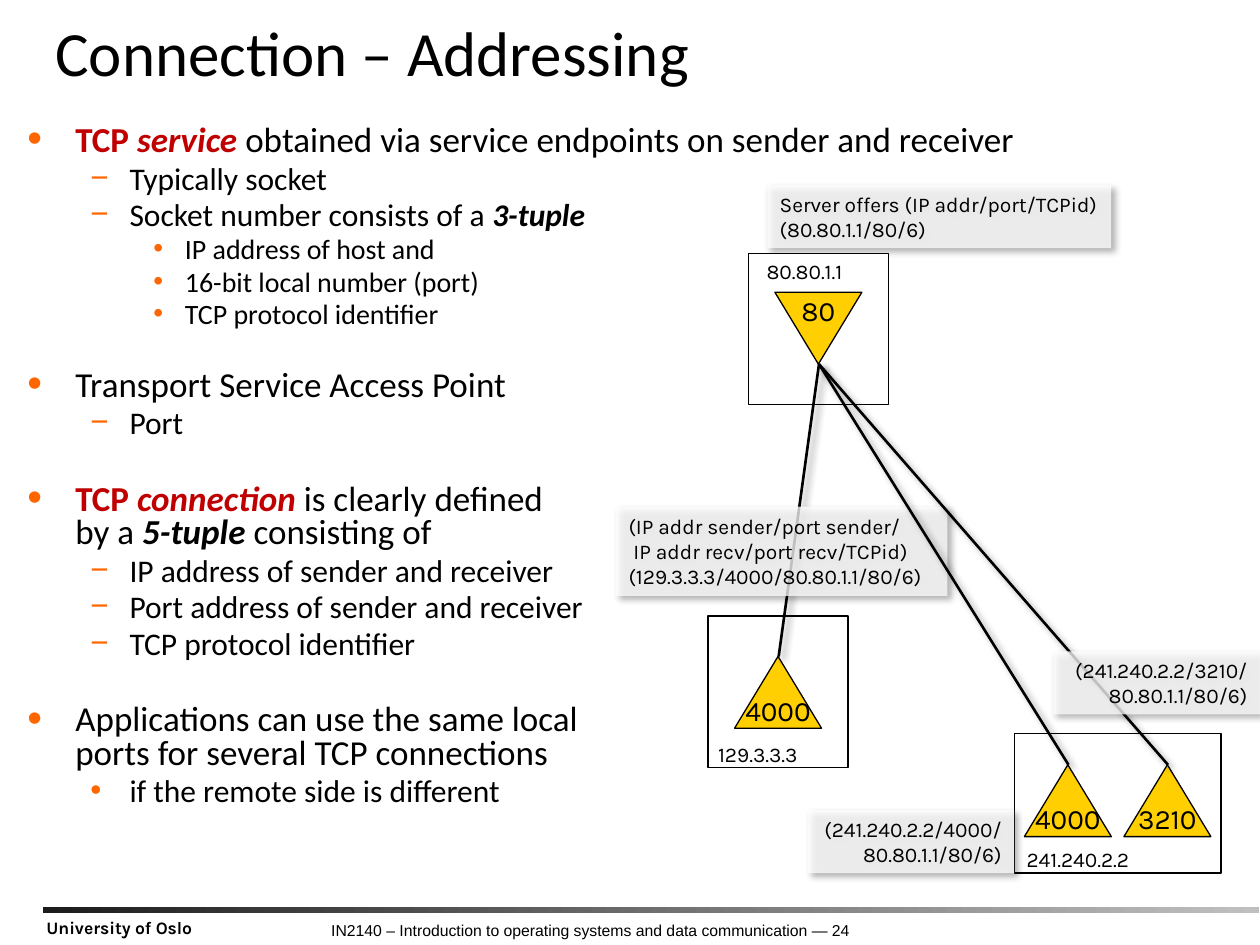
from lxml import etree
from pptx import Presentation
from pptx import util as u
from pptx.dml import color
from pptx.enum import shapes, text
from pptx.oxml import ns

COLUMNS, ROWS = 100, 75
CELL = u.Inches(0.1)
BLACK, WHITE, RED, ORANGE, YELLOW = "000000", "FFFFFF", "C00000", "FF6600", "FFCF01"
SHAPE = shapes.MSO_SHAPE
LEFT, CENTER, RIGHT = text.PP_ALIGN.LEFT, text.PP_ALIGN.CENTER, text.PP_ALIGN.RIGHT
TOP, MIDDLE, BOTTOM = (text.MSO_ANCHOR.TOP, text.MSO_ANCHOR.MIDDLE,
                       text.MSO_ANCHOR.BOTTOM)

KEY = {"bold": True, "color": RED}
KEY_TERM = {"bold": True, "italic": True, "color": RED}
TERM = {"bold": True, "italic": True}

LEVELS = [
    {"size": 20, "margin": 0.38, "hanging": 0.38, "mark": "•", "mark_size": 120},
    {"size": 18, "margin": 0.81, "hanging": 0.31, "mark": "−", "mark_size": 100},
    {"size": 16, "margin": 1.25, "hanging": 0.25, "mark": "•", "mark_size": 100},
]

OUTLINE = [
    (0, [("TCP ", KEY), ("service ", KEY_TERM),
         ("obtained via service endpoints on sender and receiver", {})], {}),
    (1, [("Typically socket", {})], {}),
    (1, [("Socket number consists of a ", {}), ("3-tuple", TERM)], {}),
    (2, [("IP address of host and", {})], {}),
    (2, [("16-bit local number (port)", {})], {}),
    (2, [("TCP protocol identifier", {})], {}),
    (0, [("Transport Service Access Point", {})], {"before": 23}),
    (1, [("Port", {})], {}),
    (0, [("TCP ", KEY), ("connection ", KEY_TERM),
         ("is clearly defined\nby a ", {}), ("5-tuple", TERM),
         (" consisting of", {})], {"before": 25}),
    (1, [("IP address of sender and receiver", {})], {}),
    (1, [("Port address of sender and receiver", {})], {}),
    (1, [("TCP protocol identifier", {})], {}),
    (0, [("Applications can use the same local\n"
          "ports for several TCP connections", {})], {"before": 25}),
    (1, [("if the remote side is different", {})], {"mark": "•"}),
]


def rgb(value):
    return color.RGBColor.from_string(value)


def grid(*cells):
    return [u.Emu(round(cell * CELL)) for cell in cells]


def apply(target, values):
    for name, value in values.items():
        setattr(target, name, value)


def add_node(parent, tag, **attributes):
    return etree.SubElement(parent, ns.qn(tag), attributes)


def add_shadow(shape):
    effects = add_node(shape._element.spPr, "a:effectLst")
    shadow = add_node(effects, "a:outerShdw", blurRad=str(u.Pt(4)),
                      dist=str(u.Pt(3)), dir="2700000", algn="tl", rotWithShape="0")
    tint = add_node(shadow, "a:srgbClr", val=BLACK)
    add_node(tint, "a:alpha", val="40000")


def add_span(para, words, size, font, style=None):
    style = dict(style or {})
    shade = style.pop("color", BLACK)
    for index, line in enumerate(words.split("\n")):
        if index:
            para.add_line_break()
        span = para.add_run()
        span.text = line
        apply(span.font, {"name": font, "size": u.Pt(size), **style})
        span.font.color.rgb = rgb(shade)


def set_frame(box, anchor=TOP, wrap=False, margins=(0.1, 0.05, 0.1, 0.05)):
    frame = box.text_frame
    left, top, right, bottom = map(u.Inches, margins)
    apply(frame, {"word_wrap": wrap, "vertical_anchor": anchor,
                  "margin_left": left, "margin_top": top,
                  "margin_right": right, "margin_bottom": bottom})
    return frame


def write(box, lines, size, font="Karla", align=LEFT, spacing=None, style=None, **layout):
    frame = set_frame(box, **layout)
    for index, line in enumerate(lines):
        para = frame.add_paragraph() if index else frame.paragraphs[0]
        apply(para, {"alignment": align, "line_spacing": spacing})
        add_span(para, line, size, font, style)


def add_text(page, cells, lines, size, **options):
    write(page.shapes.add_textbox(*grid(*cells)), lines, size, **options)


def add_block(page, kind, cells, fill, outlined=True):
    shape = page.shapes.add_shape(kind, *grid(*cells))
    shape.fill.solid()
    shape.fill.fore_color.rgb = rgb(fill)
    if outlined:
        shape.shadow.inherit = False
        shape.line.color.rgb = rgb(BLACK)
        shape.line.width = u.Pt(0.75)
    else:
        shape.line.fill.background()
    return shape


def add_host(page, cells, address, address_cells):
    add_block(page, SHAPE.RECTANGLE, cells, WHITE)
    add_text(page, address_cells, [address], 12, align=CENTER, anchor=MIDDLE,
             margins=(0, 0, 0, 0))


def add_port(page, left, top, number, kind=SHAPE.ISOSCELES_TRIANGLE):
    port = add_block(page, kind, (left, top, 6.9, 5.7), YELLOW)
    write(port, [number], 16, align=CENTER, anchor=MIDDLE)


def add_link(page, start, end):
    link = page.shapes.add_connector(shapes.MSO_CONNECTOR.STRAIGHT, *grid(*start, *end))
    link.line.color.rgb = rgb(BLACK)
    link.line.width = u.Pt(1.5)
    add_shadow(link)


def add_label(page, cells, lines, align=LEFT):
    label = add_block(page, SHAPE.RECTANGLE, cells, WHITE, outlined=False)
    tint = label._element.spPr.find(".//" + ns.qn("a:srgbClr"))
    add_node(tint, "a:alpha", val="75000")
    add_shadow(label)
    write(label, lines, 12, align=align, anchor=MIDDLE)


def add_bullet(para, margin, hanging, mark, mark_size):
    properties = para._p.get_or_add_pPr()
    properties.set("marL", str(u.Inches(margin)))
    properties.set("indent", str(-u.Inches(hanging)))
    add_node(add_node(properties, "a:buClr"), "a:srgbClr", val=ORANGE)
    add_node(properties, "a:buSzPct", val=str(mark_size * 1000))
    add_node(properties, "a:buFont", typeface="Arial")
    add_node(properties, "a:buChar", char=mark)


def add_outline(page, cells):
    frame = set_frame(page.shapes.add_textbox(*grid(*cells)), wrap=True,
                      margins=(0.1, 0.05, 0.06, 0.05))
    for index, (level, spans, changes) in enumerate(OUTLINE):
        para = frame.add_paragraph() if index else frame.paragraphs[0]
        values = {**LEVELS[level], **changes}
        size = values.pop("size")
        before = values.pop("before", size * 0.2) if index else 0
        apply(para, {"level": level, "line_spacing": 0.8, "space_before": u.Pt(before)})
        add_bullet(para, **values)
        for words, style in spans:
            add_span(para, words, size, "Calibri", style)


def add_footer(page):
    margins = (0.1, 0.03, 0.1, 0.05)
    add_text(page, (18.9, 72.8, 55.9, 2.3),
             ["IN2140 – Introduction to operating systems and data communication — 24"],
             9, font="Arial", align=CENTER, wrap=True, margins=margins)
    rule = add_block(page, SHAPE.RECTANGLE, (3.4, 72, 96.5, 0.5), BLACK, outlined=False)
    rule.shadow.inherit = False
    rule.fill.gradient()
    rule.fill.gradient_angle = 0
    for stop, shade, position in zip(rule.fill.gradient_stops, ("1C1C1C", "C0C0C0"), (0, 1)):
        stop.color.rgb = rgb(shade)
        stop.position = position
    add_text(page, (2.7, 72.5, 16.3, 2.4), ["University of Oslo"], 10,
             style={"bold": True}, wrap=True, margins=margins)


def add_network(page):
    server = (65, 28.9)
    add_label(page, (60.9, 14.7, 27.3, 5),
              ["Server offers (IP addr/port/TCPid)", "(80.80.1.1/80/6)"])
    add_host(page, (59.4, 20.1, 11.1, 12), "80.80.1.1", (60.4, 20.6, 6.9, 1.9))
    add_port(page, 61.5, 23.2, "80", SHAPE.FLOWCHART_MERGE)

    add_host(page, (56.2, 48.9, 11.1, 12), "129.3.3.3", (56.7, 58.9, 6.9, 1.9))
    add_port(page, 58.3, 52.1, "4000")
    add_link(page, (61.8, 52.1), server)
    add_label(page, (48.9, 40.2, 26.3, 7.1),
              ["(IP addr sender/port sender/", " IP addr recv/port recv/TCPid)",
               "(129.3.3.3/4000/80.80.1.1/80/6)"])

    add_host(page, (80.5, 58.2, 16.4, 11.1), "241.240.2.2", (80.2, 67.2, 10.7, 1.9))
    for left, number in ((81.3, "4000"), (89.2, "3210")):
        add_port(page, left, 60.7, number)
        add_link(page, (left + 3.5, 60.7), server)
    for left, top, number in ((64.1, 64.3, "4000"), (83.6, 51.7, "3210")):
        add_label(page, (left, top, 16.4, 5),
                  [f"(241.240.2.2/{number}/", "80.80.1.1/80/6)"], align=RIGHT)


def main():
    deck = Presentation()
    deck.slide_width, deck.slide_height = grid(COLUMNS, ROWS)
    page = deck.slides.add_slide(deck.slide_layouts[6])
    add_footer(page)
    add_text(page, (3.4, 1.4, 96.2, 6.1), ["Connection – Addressing"], 36,
             font="Calibri", spacing=0.8, anchor=BOTTOM, wrap=True,
             margins=(0.1, 0.05, 0.04, 0.05))
    add_outline(page, (1.2, 9.5, 97.6, 61.8))
    add_network(page)
    deck.save("out.pptx")


if __name__ == "__main__":
    main()
